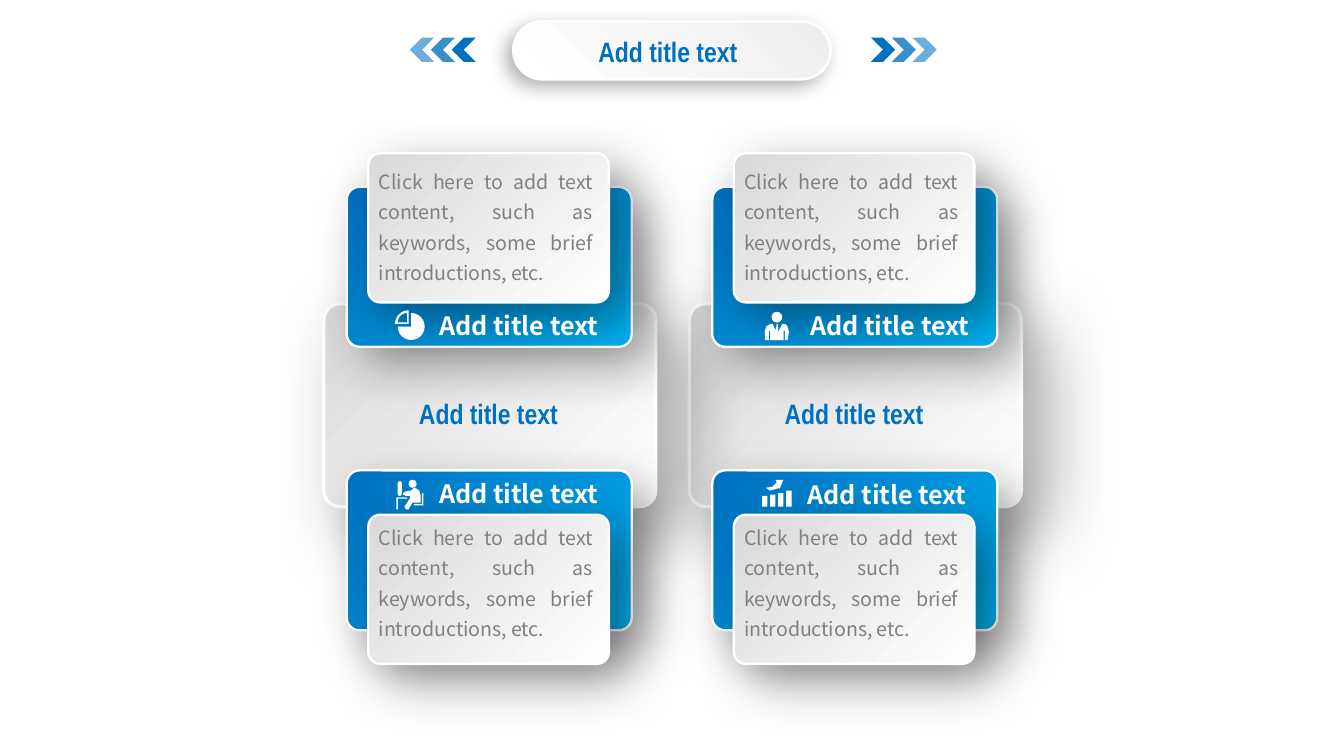
import math
from dataclasses import dataclass

import pptx
import pptx.dml.color
import pptx.enum.shapes
import pptx.enum.text
import pptx.oxml
import pptx.oxml.ns
import pptx.util
from pptx.util import Inches

SHAPE = pptx.enum.shapes.MSO_SHAPE
ALIGN = pptx.enum.text.PP_ALIGN


@dataclass(frozen=True)
class Theme:
    blue: str = "0070C0"
    sky: str = "00B0F0"
    silver: str = "D9D9D9"
    pearl: str = "EEEEEE"
    white: str = "FFFFFF"
    grey: str = "808080"
    shadow: str = "000000"
    heading_font: str = "Arial Narrow"
    body_font: str = "Noto Sans CJK SC"
    heading_size: float = 15
    caption_size: float = 13.5
    body_size: float = 10.5


THEME = Theme()
SLIDE_WIDTH = 10
SLIDE_HEIGHT = SLIDE_WIDTH * 9 / 16
HEADING = "Add title text"
BODY = "Click here to add text content, such as keywords, some brief introductions, etc."
COLUMNS = (2.41, 5.13)
# Top of the blue box, of the card and of the card's text
ROWS = ((1.39, 1.14, 1.16), (3.5, 3.83, 3.81))
CAPTIONS = ((3.17, 2.26), (5.93, 2.26), (3.17, 3.51), (5.91, 3.52))


def rgb(colour):
    return pptx.dml.color.RGBColor.from_string(colour)


def lengths(box):
    return [Inches(value) for value in box]


def add_plain(shapes, kind, box, colour=THEME.white):
    shape = shapes.add_shape(kind, *lengths(box))
    paint_plain(shape, colour)
    return shape


def paint_plain(shape, colour):
    shape.shadow.inherit = False
    shape.fill.solid()
    shape.fill.fore_color.rgb = rgb(colour)
    shape.line.fill.background()


def set_opacity(shape, percent):
    colour = shape.element.spPr.find(".//" + pptx.oxml.ns.qn("a:srgbClr"))
    colour.append(pptx.oxml.parse_xml(
        f'<a:alpha {pptx.oxml.ns.nsdecls("a")} val="{percent * 1000}"/>'))


def add_shadow(shape, opacity, blur, distance, angle):
    shape.shadow.inherit = False
    effects = shape.element.spPr.find(pptx.oxml.ns.qn("a:effectLst"))
    effects.append(pptx.oxml.parse_xml(
        f'<a:outerShdw {pptx.oxml.ns.nsdecls("a")} blurRad="{pptx.util.Pt(blur)}" '
        f'dist="{pptx.util.Pt(distance)}" dir="{angle * 60000}" algn="ctr" rotWithShape="0">'
        f'<a:srgbClr val="{THEME.shadow}"><a:alpha val="{opacity * 1000}"/></a:srgbClr>'
        '</a:outerShdw>'))


def add_rounded(slide, box, colours, shadow, line_width=1.25, corner=0.08, angle=45):
    """Add a rounded box with a gradient at a clockwise angle and a soft shadow."""
    shape = slide.shapes.add_shape(SHAPE.ROUNDED_RECTANGLE, *lengths(box))
    shape.adjustments[0] = corner
    shape.fill.gradient()
    shape.fill.gradient_angle = 360 - angle
    for stop, colour in zip(shape.fill.gradient_stops, colours):
        stop.color.rgb = rgb(colour)
    shape.line.color.rgb = rgb(THEME.white)
    shape.line.width = pptx.util.Pt(line_width)
    add_shadow(shape, *shadow)
    return shape


def write_text(box, text, size, colour, font, bold=False, align=ALIGN.LEFT, spacing=1.0):
    frame = box.text_frame
    frame.word_wrap = True
    frame.auto_size = pptx.enum.text.MSO_AUTO_SIZE.SHAPE_TO_FIT_TEXT
    frame.vertical_anchor = pptx.enum.text.MSO_ANCHOR.TOP
    para = frame.paragraphs[0]
    para.text = text
    para.alignment = align
    para.line_spacing = spacing
    para.font.size = pptx.util.Pt(size)
    para.font.name = font
    para.font.bold = bold
    para.font.color.rgb = rgb(colour)


def write_heading(box):
    write_text(box, HEADING, THEME.heading_size, THEME.blue, THEME.heading_font,
               bold=True, align=ALIGN.CENTER)


def add_outline(shapes, *contours):
    """Add one white freeform made of closed contours given in inches."""
    first, *others = [[tuple(lengths(point)) for point in contour] for contour in contours]
    builder = shapes.build_freeform(*first[0], scale=1.0)
    builder.add_line_segments(first[1:], close=True)
    for contour in others:
        builder.move_to(*contour[0])
        builder.add_line_segments(contour[1:], close=True)
    paint_plain(builder.convert_to_shape(), THEME.white)


def arc(centre_x, centre_y, radius, start, end, steps=24):
    angles = [math.radians(start + (end - start) * i / steps) for i in range(steps + 1)]
    return [(centre_x + radius * math.cos(a), centre_y + radius * math.sin(a)) for a in angles]


def draw_pie_icon(shapes):
    add_outline(shapes, [(3.06, 2.43)] + arc(3.06, 2.43, 0.1, -90, 180))
    add_outline(shapes,
                [(3.04, 2.41)] + arc(3.04, 2.41, 0.1, 180, 270),
                [(3.03, 2.4)] + arc(3.03, 2.4, 0.07, 270, 180))


def draw_person_icon(shapes):
    add_plain(shapes, SHAPE.OVAL, (5.74, 2.32, 0.08, 0.08))
    add_outline(shapes, [
        (5.69, 2.53), (5.69, 2.47), (5.7, 2.43), (5.73, 2.41), (5.75, 2.41), (5.77, 2.46),
        (5.78, 2.41), (5.79, 2.41), (5.79, 2.46), (5.78, 2.49), (5.8, 2.45), (5.82, 2.41),
        (5.84, 2.41), (5.86, 2.43), (5.87, 2.47), (5.86, 2.53), (5.84, 2.53), (5.84, 2.46),
        (5.83, 2.46), (5.83, 2.53), (5.73, 2.53), (5.73, 2.46), (5.72, 2.46), (5.72, 2.53)])


def draw_desk_icon(shapes):
    add_outline(shapes, [(2.95, 3.7), (3.03, 3.7), (3.03, 3.71), (2.96, 3.71),
                         (2.96, 3.79), (2.95, 3.79)])
    screen = add_plain(shapes, SHAPE.ROUNDED_RECTANGLE, (2.96, 3.58, 0.03, 0.11))
    screen.adjustments[0] = 0.5
    add_plain(shapes, SHAPE.OVAL, (3.04, 3.57, 0.06, 0.06))
    add_outline(shapes, [
        (3.01, 3.77), (3.02, 3.79), (3.04, 3.79), (3.07, 3.74), (3.13, 3.74), (3.13, 3.69),
        (3.12, 3.65), (3.09, 3.63), (3.08, 3.63), (3.06, 3.65), (3.01, 3.66), (3, 3.67),
        (3, 3.68), (3.02, 3.69), (3.05, 3.69), (3.05, 3.71)])
    add_outline(shapes, [(3.08, 3.75), (3.14, 3.75), (3.14, 3.67), (3.15, 3.67),
                         (3.15, 3.76), (3.08, 3.76)])


def draw_growth_icon(shapes):
    for i, top in enumerate((3.69, 3.68, 3.67, 3.65)):
        add_plain(shapes, SHAPE.RECTANGLE, (5.67 + 0.06 * i, top, 0.04, 3.77 - top))
    add_outline(shapes, [(5.78, 3.59), (5.75, 3.62), (5.7, 3.63), (5.73, 3.65), (5.77, 3.64),
                         (5.8, 3.63), (5.8, 3.64), (5.83, 3.57), (5.77, 3.57)])


def draw_chevrons(slide, mirrored):
    """Draw three chevrons that fade outwards beside the title."""
    shapes = slide.shapes.add_group_shape().shapes
    for i, opacity in enumerate((100, 79, 57)):
        left = 6.48 + 0.31 * i / 2
        chevron = add_plain(shapes, SHAPE.CHEVRON,
                            (9.84 - left if mirrored else left, 0.28, 0.18, 0.18), THEME.blue)
        chevron.rotation = 180 if mirrored else 0
        set_opacity(chevron, opacity)


def draw_title(slide):
    pill = add_rounded(slide, (3.82, 0.16, 2.36, 0.43), (THEME.pearl, THEME.white),
                       (30, 10, 5, 135), line_width=1.5, corner=0.5, angle=135)
    title = slide.shapes.title
    title.left, title.top, title.width, title.height = lengths((4.11, 0.23, 1.72, 0.31))
    write_heading(title)
    frame = title.text_frame
    frame.margin_left = frame.margin_right = Inches(0.06)
    frame.margin_top = frame.margin_bottom = Inches(0.03)
    pill.element.addnext(title.element)
    for mirrored in (False, True):
        draw_chevrons(slide, mirrored)


def draw_card(slide, column, box_top, card_top, text_top):
    add_rounded(slide, (column + 0.17, box_top, 2.12, 1.19), (THEME.blue, THEME.sky),
                (35, 27, 13, 45))
    add_rounded(slide, (column + 0.33, card_top, 1.79, 1.11), (THEME.silver, THEME.white),
                (40, 28, 12, 45))
    body = slide.shapes.add_textbox(*lengths((column + 0.31, text_top, 1.79, 1.1)))
    write_text(body, BODY, THEME.body_size, THEME.grey, THEME.body_font,
               align=ALIGN.JUSTIFY, spacing=1.3)


def main():
    deck = pptx.Presentation()
    deck.slide_width, deck.slide_height = lengths((SLIDE_WIDTH, SLIDE_HEIGHT))
    slide = deck.slides.add_slide(deck.slide_layouts[5])
    draw_title(slide)
    for column in reversed(COLUMNS):
        add_rounded(slide, (column, 2.26, 2.47, 1.51), (THEME.silver, THEME.white),
                    (35, 40, 19, 45), line_width=1.75)
    for row in ROWS:
        for column in COLUMNS:
            draw_card(slide, column, *row)
    for column in COLUMNS:
        write_heading(slide.shapes.add_textbox(*lengths((column + 0.16, 2.9, 2.13, 0.37))))
    for left, top in CAPTIONS:
        caption = slide.shapes.add_textbox(*lengths((left, top, 1.53, 0.33)))
        write_text(caption, HEADING, THEME.caption_size, THEME.white, THEME.body_font, bold=True)
    for draw_icon in (draw_pie_icon, draw_person_icon, draw_desk_icon, draw_growth_icon):
        draw_icon(slide.shapes.add_group_shape().shapes)
    deck.save("out.pptx")


if __name__ == "__main__":
    main()
